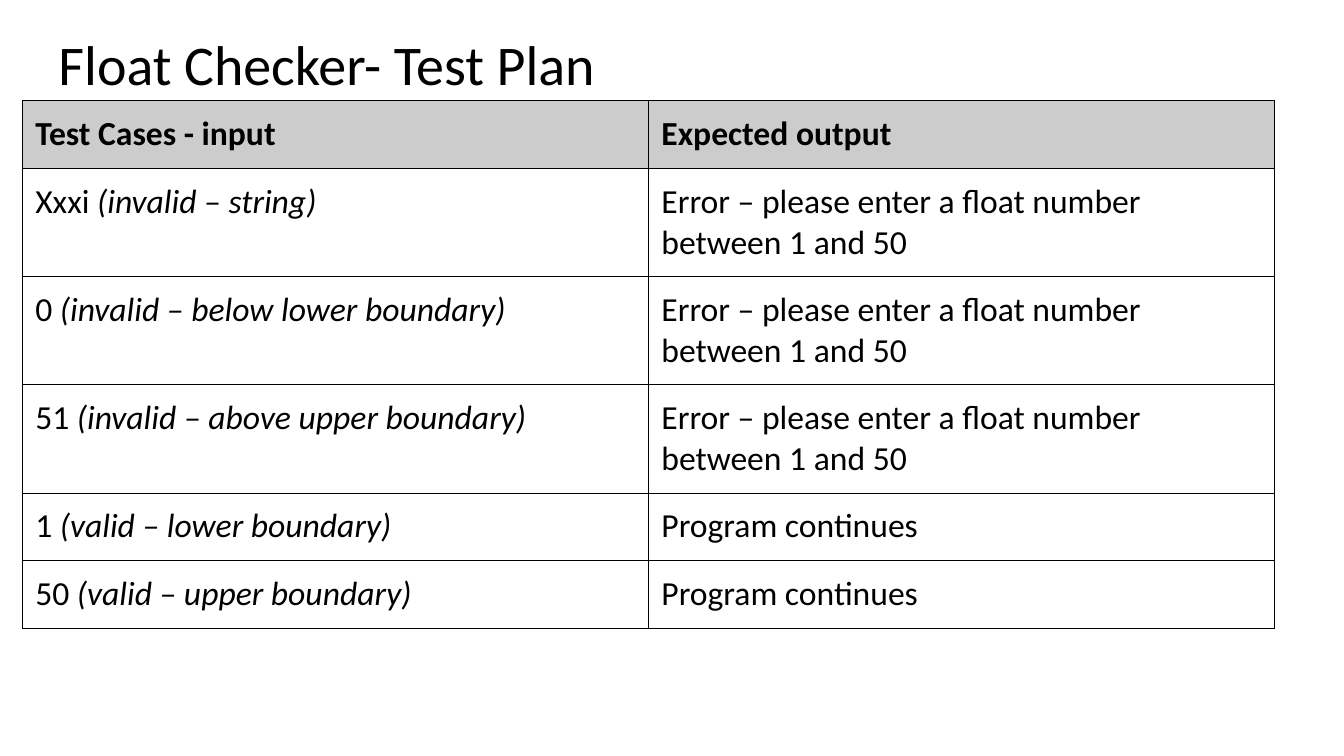
from lxml import etree
from pptx import Presentation
from pptx import util as u
from pptx.dml.color import RGBColor
from pptx.enum import text
from pptx.oxml import ns

PX = 9144  # EMU, 100 px to the inch
INSET = 13
FONT = "Calibri"
BLACK = RGBColor(0x00, 0x00, 0x00)
HEADER_GREY = RGBColor(0xCC, 0xCC, 0xCC)

ERROR = "Error – please enter a float number between 1 and 50"
CONTINUES = "Program continues"
HEADINGS = ("Test Cases - input", "Expected output")
TEST_CASES = [
    ("Xxxi", "(invalid – string)", ERROR),
    ("0", "(invalid – below lower boundary)", ERROR),
    ("51", "(invalid – above upper boundary)", ERROR),
    ("1", "(valid – lower boundary)", CONTINUES),
    ("50", "(valid – upper boundary)", CONTINUES),
]


def px(n):
    return u.Emu(n * PX)


def set_insets(box):
    """Give a text frame or a table cell the same margin on all sides."""
    box.margin_left = box.margin_right = px(INSET)
    box.margin_top = box.margin_bottom = px(INSET)


def set_font(p, size, bold=False):
    p.font.name = FONT
    p.font.size = u.Pt(size)
    p.font.bold = bold
    p.font.color.rgb = BLACK


def add_borders(cell):
    tc_pr = cell._tc.get_or_add_tcPr()
    for side in ("lnL", "lnR", "lnT", "lnB"):
        ln = etree.SubElement(tc_pr, ns.qn(f"a:{side}"), w=str(u.Pt(0.75)))
        fill = etree.SubElement(ln, ns.qn("a:solidFill"))
        etree.SubElement(fill, ns.qn("a:srgbClr"), val=str(BLACK))


def fill_cell(cell, words, note="", header=False):
    """Write words, then an optional italic note, in a bordered cell."""
    set_insets(cell)
    cell.vertical_anchor = text.MSO_ANCHOR.TOP
    add_borders(cell)
    if header:
        cell.fill.solid()
        cell.fill.fore_color.rgb = HEADER_GREY
    else:
        cell.fill.background()
    p = cell.text_frame.paragraphs[0]
    p.add_run().text = f"{words} " if note else words
    if note:
        r = p.add_run()
        r.text = note
        r.font.italic = True
    set_font(p, 24, bold=header)


def add_title(slide, words):
    title = slide.shapes.title
    title.left, title.top, title.width, title.height = map(px, (45, 24, 1242, 84))
    tf = title.text_frame
    tf.text = words
    tf.word_wrap = True
    tf.auto_size = text.MSO_AUTO_SIZE.NONE
    tf.vertical_anchor = text.MSO_ANCHOR.TOP
    set_insets(tf)
    p = tf.paragraphs[0]
    p.alignment = text.PP_ALIGN.LEFT
    p.line_spacing = 0.9
    set_font(p, 40)


def add_test_table(slide):
    rows = len(TEST_CASES) + 1
    table = slide.shapes.add_table(
        rows, 2, px(22), px(100), px(1242), px(67 * rows)).table
    table.first_row = table.horz_banding = False
    for col, heading in enumerate(HEADINGS):
        fill_cell(table.cell(0, col), heading, header=True)
    for row, (value, note, output) in enumerate(TEST_CASES, start=1):
        fill_cell(table.cell(row, 0), value, note)
        fill_cell(table.cell(row, 1), output)


def main():
    prs = Presentation()
    prs.slide_width, prs.slide_height = px(1333), px(750)
    slide = prs.slides.add_slide(prs.slide_layouts[5])
    add_title(slide, "Float Checker- Test Plan")
    add_test_table(slide)
    prs.save("out.pptx")


if __name__ == "__main__":
    main()
